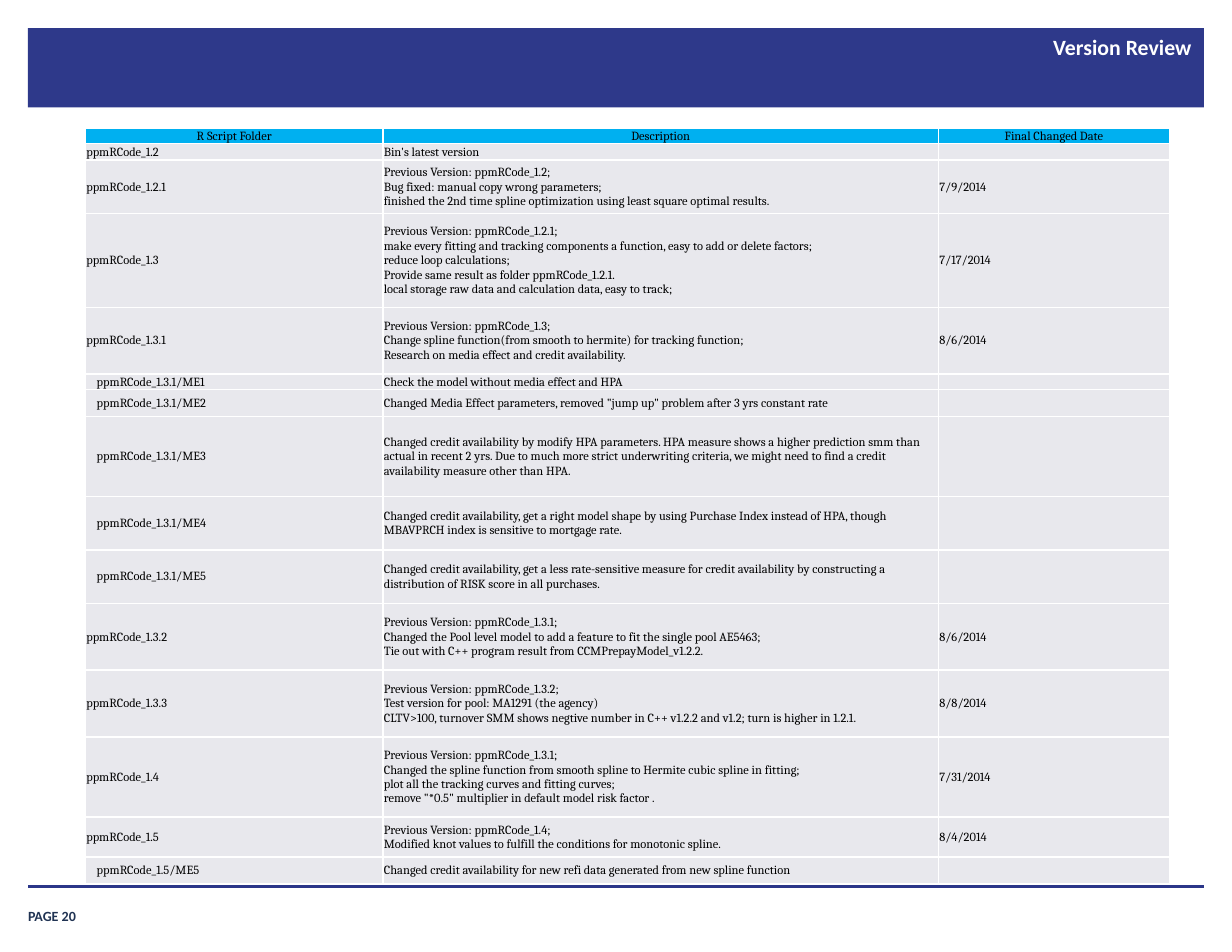
from lxml import etree
from pptx import Presentation
from pptx.dml.color import RGBColor
from pptx.enum import shapes, text
from pptx.oxml import ns
from pptx.util import Pt

HEAD = ("R Script Folder", "Description", "Final Changed Date")
ROWS = [
    (10.5, "ppmRCode_1.2", ["Bin's latest version"], ""),
    (34.3, "ppmRCode_1.2.1", [
        "Previous Version: ppmRCode_1.2;",
        "Bug fixed: manual copy wrong parameters;",
        "finished the 2nd time spline optimization using least square optimal results."], "7/9/2014"),
    (60.3, "ppmRCode_1.3", [
        "Previous Version: ppmRCode_1.2.1;",
        "make every fitting and tracking components a function, easy to add or delete factors;",
        "reduce loop calculations;",
        "Provide same result as folder ppmRCode_1.2.1.",
        "local storage raw data and calculation data, easy to track;"], "7/17/2014"),
    (43, "ppmRCode_1.3.1", [
        "Previous Version: ppmRCode_1.3;",
        "Change spline function(from smooth to hermite) for tracking function;",
        "Research on media effect and credit availability."], "8/6/2014"),
    (10, "ppmRCode_1.3.1/ME1", ["Check the model without media effect and HPA"], ""),
    (17.3, "ppmRCode_1.3.1/ME2", [
        'Changed Media Effect parameters, removed "jump up" problem after 3 yrs constant rate'], ""),
    (51.4, "ppmRCode_1.3.1/ME3", [
        "Changed credit availability by modify HPA parameters. HPA measure shows a higher "
        "prediction smm than actual in recent 2 yrs. Due to much more strict underwriting criteria, "
        "we might need to find a credit availability measure other than HPA."], ""),
    (34.3, "ppmRCode_1.3.1/ME4", [
        "Changed credit availability, get a right model shape by using Purchase Index instead of HPA, "
        "though MBAVPRCH index is sensitive to mortgage rate."], ""),
    (34.3, "ppmRCode_1.3.1/ME5", [
        "Changed credit availability, get a less rate-sensitive measure for credit availability by "
        "constructing a distribution of RISK score in all purchases."], ""),
    (43, "ppmRCode_1.3.2", [
        "Previous Version: ppmRCode_1.3.1;",
        "Changed the Pool level model to add a feature to fit the single pool AE5463;",
        "Tie out with C++ program result from CCMPrepayModel_v1.2.2."], "8/6/2014"),
    (43, "ppmRCode_1.3.3", [
        "Previous Version: ppmRCode_1.3.2;",
        "Test version for pool: MA1291 (the agency)",
        "CLTV>100, turnover SMM shows negtive number in C++ v1.2.2 and v1.2; turn is higher in 1.2.1."],
     "8/8/2014"),
    (51.4, "ppmRCode_1.4", [
        "Previous Version: ppmRCode_1.3.1;",
        "Changed the spline function from smooth spline to Hermite cubic spline in fitting;",
        "plot all the tracking curves and fitting curves;",
        'remove "*0.5" multiplier in default model risk factor .'], "7/31/2014"),
    (25.8, "ppmRCode_1.5", [
        "Previous Version: ppmRCode_1.4;",
        "Modified knot values to fulfill the conditions for monotonic spline."], "8/4/2014"),
    (17, "ppmRCode_1.5/ME5", [
        "Changed credit availability for new refi data generated from new spline function"], ""),
]
WIDTHS = (191.3, 357.1, 148.5)
TOP = 9.3
EDGE, SPAN = 18, 756


def color(code):
    return RGBColor.from_string(code)


def style(para, name, size, code, bold=False):
    font = para.font
    font.name, font.size, font.bold = name, Pt(size), bold
    font.color.rgb = color(code)


def label(words, box, size, code, align, anchor, pad):
    frame = slide.shapes.add_textbox(*map(Pt, box)).text_frame
    frame.word_wrap = True
    frame.vertical_anchor = anchor
    frame.margin_left = frame.margin_right = Pt(pad * 2)
    frame.margin_top = frame.margin_bottom = Pt(pad)
    para = frame.paragraphs[0]
    para.text, para.alignment = words, align
    style(para, "Calibri", size, code, True)


def border(cell):
    props = cell._tc.get_or_add_tcPr()
    for side in ("lnL", "lnR", "lnT", "lnB"):
        line = etree.SubElement(props, ns.qn("a:" + side), w=str(Pt(1)))
        fill = etree.SubElement(line, ns.qn("a:solidFill"))
        etree.SubElement(fill, ns.qn("a:srgbClr"), val="FFFFFF")


def fill_cell(cell, words, back, align, left):
    border(cell)
    cell.fill.solid()
    cell.fill.fore_color.rgb = color(back)
    cell.vertical_anchor = text.MSO_ANCHOR.MIDDLE
    cell.margin_left, cell.margin_right = Pt(left), Pt(0.5)
    cell.margin_top, cell.margin_bottom = Pt(0.5), Pt(0)
    para = cell.text_frame.paragraphs[0]
    para.alignment = align
    if words:
        para.text = words
        style(para, "Cambria", 8, "000000")
    else:
        etree.SubElement(para._p, ns.qn("a:endParaRPr"), sz="800")


deck = Presentation()
deck.slide_width, deck.slide_height = Pt(792), Pt(612)
slide = deck.slides.add_slide(deck.slide_layouts[6])

band = slide.shapes.add_shape(shapes.MSO_SHAPE.RECTANGLE, Pt(EDGE), Pt(18), Pt(SPAN), Pt(51))
band.shadow.inherit = False
band.fill.solid()
band.fill.fore_color.rgb = color("2E398A")
band.line.fill.background()

rule = slide.shapes.add_connector(
    shapes.MSO_CONNECTOR.STRAIGHT, Pt(EDGE), Pt(570), Pt(EDGE + SPAN), Pt(570))
rule.line.color.rgb = color("2B3689")
rule.line.width = Pt(2)
etree.SubElement(rule._element.spPr, ns.qn("a:effectLst"))

label("PAGE 20", (EDGE, 577.5, 65.5, 16.5), 9, "203353",
      text.PP_ALIGN.LEFT, text.MSO_ANCHOR.BOTTOM, 0)
label("Version Review", (238.5, 18, 535.5, 53), 14, "FFFFFF",
      text.PP_ALIGN.RIGHT, text.MSO_ANCHOR.TOP, 4)

high = TOP + sum(row[0] for row in ROWS)
grid = slide.shapes.add_table(
    len(ROWS) + 1, len(HEAD), Pt(55), Pt(82.3), Pt(sum(WIDTHS)), Pt(high)).table
for col, width in zip(grid.columns, WIDTHS):
    col.width = Pt(width)
grid.rows[0].height = Pt(TOP)
for c, words in enumerate(HEAD):
    fill_cell(grid.cell(0, c), words, "00B0F0", text.PP_ALIGN.CENTER, 0.5)
for r, (tall, folder, lines, date) in enumerate(ROWS, 1):
    grid.rows[r].height = Pt(tall)
    for c, words in enumerate((folder, "\v".join(lines), date)):
        left = 7.2 if c == 0 and "/" in folder else 0.5
        fill_cell(grid.cell(r, c), words, "E8E8ED", text.PP_ALIGN.LEFT, left)

deck.save("out.pptx")
